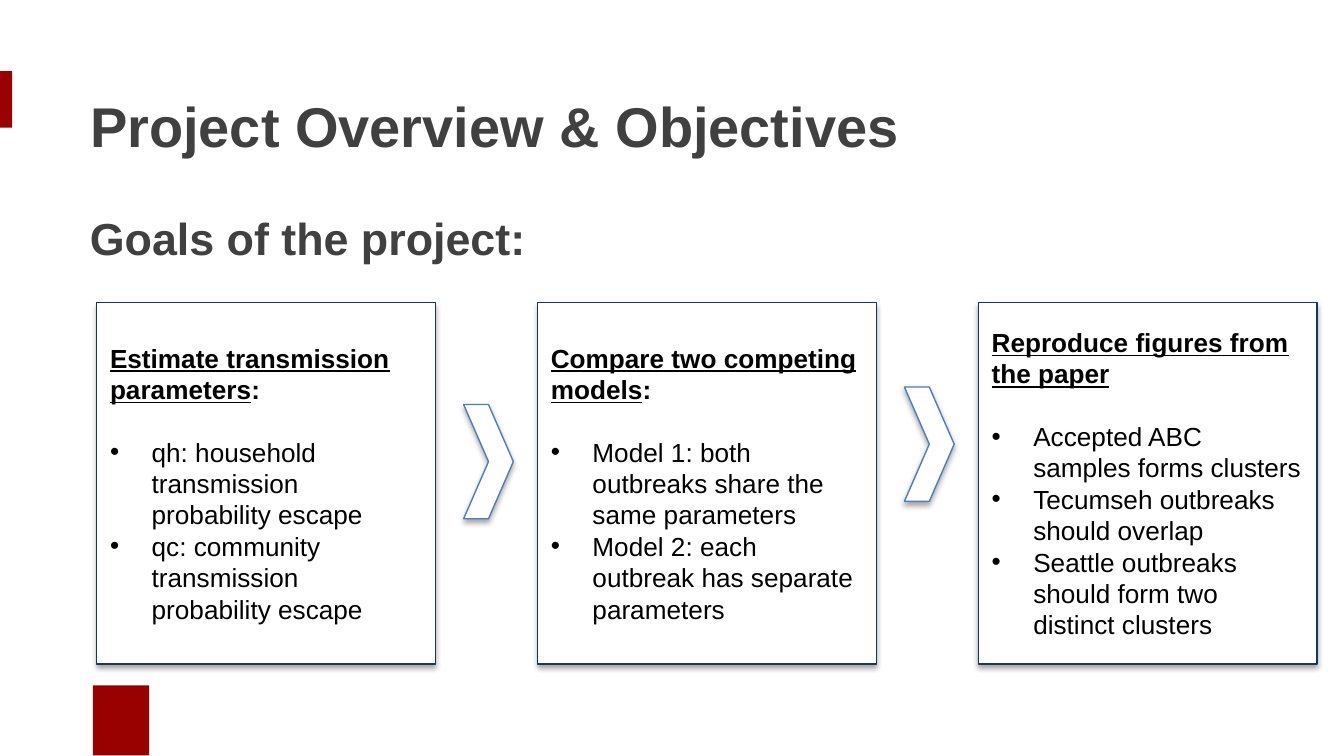
from lxml.etree import SubElement
from pptx import Presentation
from pptx.dml.color import RGBColor
from pptx.enum.shapes import MSO_SHAPE
from pptx.enum.text import MSO_ANCHOR, PP_ALIGN
from pptx.oxml.ns import qn
from pptx.util import Inches, Pt

COLORS = {"red": "990000", "gray": "404041", "navy": "17375E",
          "blue": "4B7EBC", "white": "FFFFFF", "black": "000000"}

CARDS = [
    ("Estimate transmission parameters", ":",
     ["qh: household transmission probability escape",
      "qc: community transmission probability escape"]),
    ("Compare two competing models", ":",
     ["Model 1: both outbreaks share the same parameters",
      "Model 2: each outbreak has separate parameters"]),
    ("Reproduce figures from the paper", "",
     ["Accepted ABC samples forms clusters",
      "Tecumseh outbreaks should overlap",
      "Seattle outbreaks should form two distinct clusters"]),
]


def color(name):
    return RGBColor.from_string(COLORS[name])


def write(para, text, size=14, tint="black", bold=False, under=False):
    run = para.add_run()
    run.text = text
    font = run.font
    font.name, font.size = "Arial", Pt(size)
    font.bold, font.underline = bold, under
    font.color.rgb = color(tint)
    para.alignment = PP_ALIGN.LEFT


def draw(slide, kind, box, fill, line=None, shade=False):
    shape = slide.shapes.add_shape(kind, *map(Inches, box))
    shape.shadow.inherit = False
    shape.fill.solid()
    shape.fill.fore_color.rgb = color(fill)
    if line:
        shape.line.color.rgb = color(line)
        shape.line.width = Pt(0.75)
    else:
        shape.line.fill.background()
    if shade:
        effects = shape._element.spPr.find(qn("a:effectLst"))
        outer = SubElement(effects, qn("a:outerShdw"), blurRad=str(Pt(3.1)),
                           dist=str(Pt(1.8)), dir="5400000", rotWithShape="0")
        tone = SubElement(outer, qn("a:srgbClr"), val=COLORS["black"])
        SubElement(tone, qn("a:alpha"), val="35000")
    return shape


def bullet(para):
    props = para._p.get_or_add_pPr()
    props.set("marL", str(Inches(0.31)))
    props.set("indent", str(Inches(-0.31)))
    SubElement(props, qn("a:buFont"), typeface="Arial")
    SubElement(props, qn("a:buChar"), char="•")


def add_head(slide, left, top, width):
    """Place the title and the subtitle below it."""
    title = slide.shapes.title
    title.left, title.top = Inches(left), Inches(top)
    title.width, title.height = Inches(width), Inches(0.85)
    title.text_frame.vertical_anchor = MSO_ANCHOR.MIDDLE
    write(title.text_frame.paragraphs[0], "Project Overview & Objectives",
          size=30, tint="gray", bold=True)
    goals = slide.shapes.add_textbox(Inches(left), Inches(top + 1.01),
                                     Inches(width), Inches(0.55))
    goals.text_frame.word_wrap = True
    write(goals.text_frame.paragraphs[0], "Goals of the project:",
          size=24, tint="gray", bold=True)


def add_card(slide, box, head, tail, items):
    card = draw(slide, MSO_SHAPE.RECTANGLE, box, "white", "navy", shade=True)
    frame = card.text_frame
    frame.word_wrap = True
    frame.vertical_anchor = MSO_ANCHOR.MIDDLE
    first = frame.paragraphs[0]
    first.space_after = Pt(16.8)
    write(first, head, bold=True, under=True)
    if tail:
        write(first, tail, bold=True)
    for item in items:
        para = frame.add_paragraph()
        write(para, item)
        bullet(para)


def add_flow(slide, left, top, width, height, gap):
    """Place the cards with equal gaps and a chevron in each gap."""
    step = width + gap
    for i, (head, tail, items) in enumerate(CARDS):
        add_card(slide, (left + i * step, top, width, height),
                 head, tail, items)
    for i, drop in enumerate((0.76, 0.63)):
        box = (left + i * step + width + 0.21, top + drop, 0.37, 0.85)
        draw(slide, MSO_SHAPE.CHEVRON, box, "white", "blue", shade=True)


def main():
    deck = Presentation()
    deck.slide_width = Inches(10)
    deck.slide_height = deck.slide_width * 9 // 16
    slide = deck.slides.add_slide(deck.slide_layouts[5])
    for box in ((0, 0.53, 0.09, 0.42), (0.69, 5.1, 0.42, 0.52)):
        draw(slide, MSO_SHAPE.RECTANGLE, box, "red")
    add_head(slide, 0.57, 0.51, 7.05)
    add_flow(slide, 0.72, 2.25, 2.52, 2.69, gap=0.76)
    deck.save("out.pptx")


if __name__ == "__main__":
    main()
